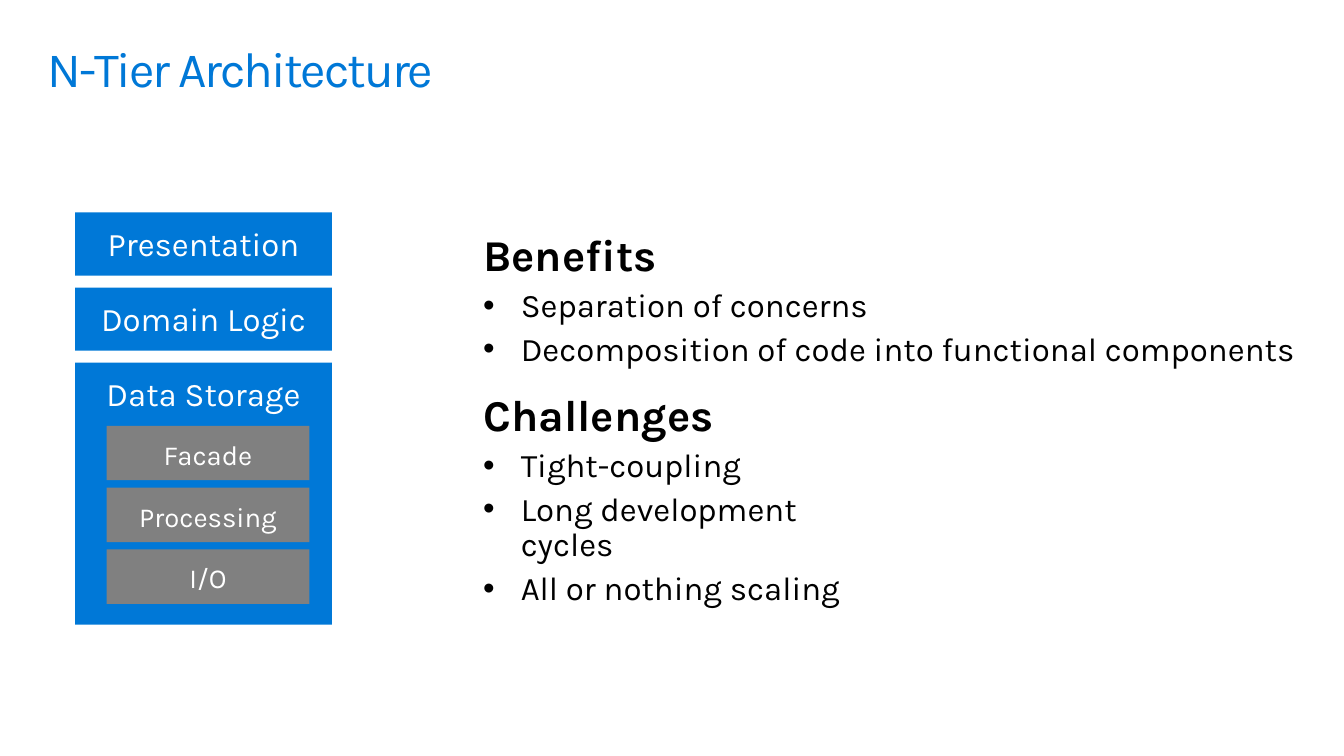
import pptx
import pptx.util
import pptx.dml.color
import pptx.enum.shapes
import pptx.enum.text
import lxml.etree
from pptx.oxml.ns import qn

Inches = pptx.util.Inches
Pt = pptx.util.Pt
RGBColor = pptx.dml.color.RGBColor
Align = pptx.enum.text.PP_ALIGN

TITLE = "N-Tier Architecture"
TIERS = [("Presentation", 0.64), ("Domain Logic", 0.64), ("Data Storage", 2.65)]
STORAGE_LAYERS = ["Facade", "Processing", "I/O"]
LISTS = [
    ("Benefits", ["Separation of concerns",
                  "Decomposition of code into functional components"],
     (4.69, 2.2, 8.66, 1.7)),
    ("Challenges", ["Tight-coupling", "Long development cycles",
                    "All or nothing scaling"],
     (4.69, 3.82, 4.54, 2.6)),
]

FONT = "Karla"
BLUE = RGBColor(0x00, 0x78, 0xD7)
GRAY = RGBColor(0x80, 0x80, 0x80)
WHITE = RGBColor(0xFF, 0xFF, 0xFF)
BLACK = RGBColor(0x00, 0x00, 0x00)

TIER_LEFT, TIER_TOP, TIER_WIDTH, TIER_GAP = 0.76, 2.15, 2.6, 0.12
LAYER_LEFT, LAYER_TOP, LAYER_WIDTH, LAYER_HEIGHT = 1.08, 4.31, 2.05, 0.55
LAYER_PITCH = 0.625
BODY_INSETS = (0.2, 0.16, 0.2, 0.16)


def prepare_frame(box, insets):
    frame = box.text_frame
    frame.word_wrap = True
    frame.vertical_anchor = pptx.enum.text.MSO_ANCHOR.TOP
    (frame.margin_left, frame.margin_top,
     frame.margin_right, frame.margin_bottom) = map(Inches, insets)
    return frame


def add_span(para, text, size, color, bold=False):
    para.line_spacing = 0.9
    span = para.add_run()
    span.text = text
    span.font.name = FONT
    span.font.size = Pt(size)
    span.font.bold = bold
    span.font.color.rgb = color
    return span


def add_bullet(para):
    properties = para._p.get_or_add_pPr()
    properties.set("marL", str(Inches(0.38)))
    properties.set("indent", str(-Inches(0.38)))
    lxml.etree.SubElement(properties, qn("a:buFont")).set("typeface", "Arial")
    lxml.etree.SubElement(properties, qn("a:buChar")).set("char", "•")


def add_block(group, label, bounds, fill, size):
    box = group.shapes.add_shape(
        pptx.enum.shapes.MSO_SHAPE.RECTANGLE, *map(Inches, bounds))
    box.shadow.inherit = False
    box.fill.solid()
    box.fill.fore_color.rgb = fill
    box.line.fill.background()
    para = prepare_frame(box, BODY_INSETS).paragraphs[0]
    para.alignment = Align.CENTER
    add_span(para, label, size, WHITE)


def add_list(page, heading, items, bounds):
    box = page.shapes.add_textbox(*map(Inches, bounds))
    frame = prepare_frame(box, BODY_INSETS)
    frame.auto_size = pptx.enum.text.MSO_AUTO_SIZE.SHAPE_TO_FIT_TEXT
    para = frame.paragraphs[0]
    para.space_after = Pt(6)
    add_span(para, heading, 32, BLACK, True)
    for item in items:
        para = frame.add_paragraph()
        add_bullet(para)
        para.space_after = Pt(6)
        add_span(para, item, 24, BLACK)


def main():
    deck = pptx.Presentation()
    deck.slide_width, deck.slide_height = Inches(13.6), Inches(7.65)
    page = deck.slides.add_slide(deck.slide_layouts[6])

    title = page.shapes.add_textbox(*map(Inches, (0.48, 0.27, 12.65, 0.82)))
    para = prepare_frame(title, (0, 0.18, 0, 0)).paragraphs[0]
    span = add_span(para, TITLE, 36, BLUE)
    span.font._element.set("spc", "-150")

    for heading, items, bounds in LISTS:
        add_list(page, heading, items, bounds)

    stack = page.shapes.add_group_shape()
    top = TIER_TOP
    for label, height in TIERS:
        add_block(stack, label, (TIER_LEFT, top, TIER_WIDTH, height), BLUE, 24)
        top += height + TIER_GAP
    for index, label in enumerate(STORAGE_LAYERS):
        top = LAYER_TOP + index * LAYER_PITCH
        add_block(stack, label, (LAYER_LEFT, top, LAYER_WIDTH, LAYER_HEIGHT), GRAY, 20)

    deck.save("out.pptx")


if __name__ == "__main__":
    main()
